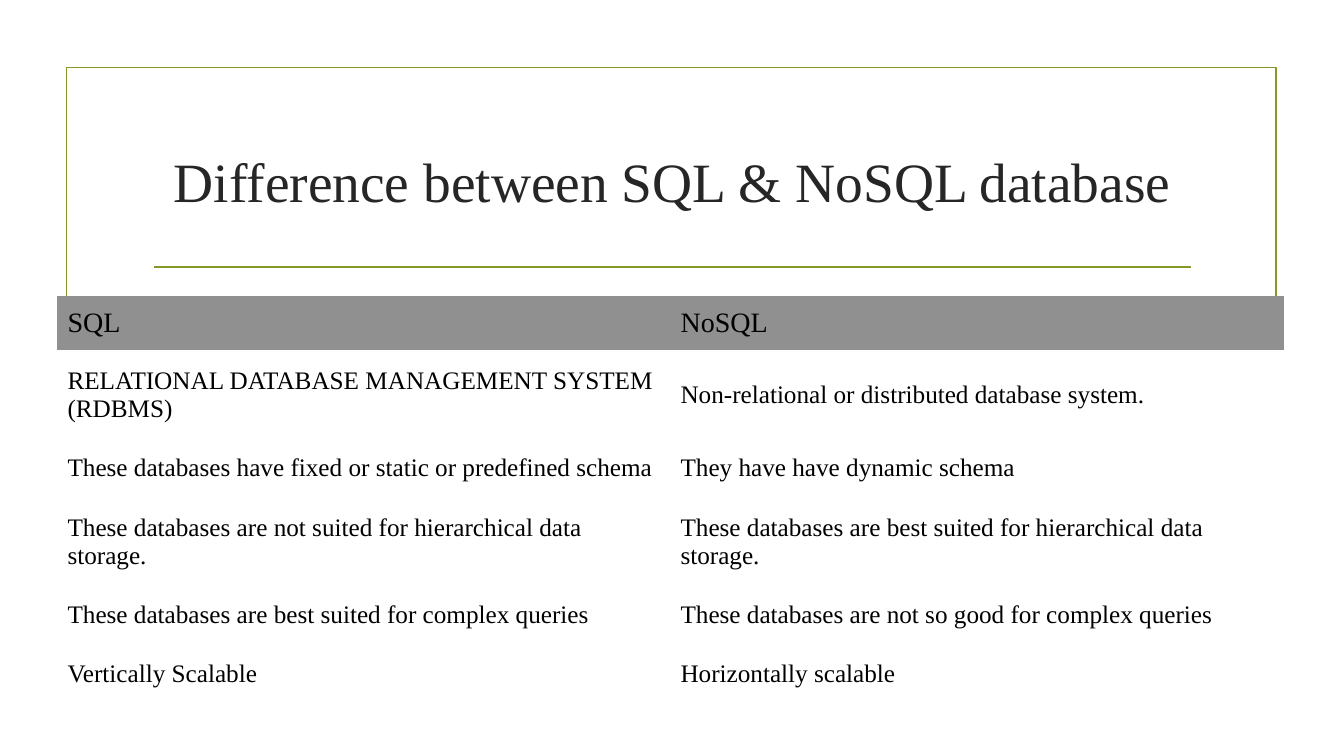
from dataclasses import dataclass

from pptx import Presentation
from pptx.dml.color import RGBColor
from pptx.enum.shapes import MSO_CONNECTOR, MSO_SHAPE
from pptx.enum.text import MSO_ANCHOR as Anchor, PP_ALIGN as Align
from pptx.oxml.ns import qn
from pptx.oxml.xmlchemy import OxmlElement
from pptx.util import Pt

EMU_PER_PX = 9144
PLAIN_TABLE_STYLE = "{2D5ABB26-0587-4C30-8999-92F81FD0307C}"


def px(length):
    return length * EMU_PER_PX


@dataclass(frozen=True)
class Theme:
    font: str = "Times New Roman"
    accent: str = "83992A"
    title: str = "262626"
    text: str = "000000"
    header_fill: str = "909090"
    body_fill: str = "FFFFFF"
    title_size: float = 39.6
    header_size: float = 20
    body_size: float = 18
    line_width: float = 1.25


class SlideBuilder:
    def __init__(self, slide, theme):
        self.slide = slide
        self.theme = theme

    def outline(self, line):
        line.color.rgb = RGBColor.from_string(self.theme.accent)
        line.width = Pt(self.theme.line_width)

    def frame(self, left, top, width, height):
        shape = self.slide.shapes.add_shape(
            MSO_SHAPE.RECTANGLE, px(left), px(top), px(width), px(height))
        shape.shadow.inherit = False
        shape.fill.background()
        self.outline(shape.line)

    def rule(self, left, right, top):
        connector = self.slide.shapes.add_connector(
            MSO_CONNECTOR.STRAIGHT, px(left), px(top), px(right), px(top))
        self.outline(connector.line)
        connector._element.spPr.append(OxmlElement("a:effectLst"))

    def add_text(self, paragraph, text, size, color):
        run = paragraph.add_run()
        run.text = text
        run.font.name = self.theme.font
        run.font.size = Pt(size)
        run.font.color.rgb = RGBColor.from_string(color)

    def title(self, text, left, top, width, height):
        box = self.slide.shapes.add_textbox(px(left), px(top), px(width), px(height))
        text_frame = box.text_frame
        text_frame.word_wrap = True
        text_frame.vertical_anchor = Anchor.MIDDLE
        paragraph = text_frame.paragraphs[0]
        paragraph.alignment = Align.CENTER
        self.add_text(paragraph, text, self.theme.title_size, self.theme.title)

    def cell(self, cell, text, fill, size, side_margin, end_margin):
        cell.fill.solid()
        cell.fill.fore_color.rgb = RGBColor.from_string(fill)
        cell.vertical_anchor = Anchor.MIDDLE
        cell.margin_left = cell.margin_right = px(side_margin)
        cell.margin_top = cell.margin_bottom = px(end_margin)
        self.add_text(cell.text_frame.paragraphs[0], text, size, self.theme.text)

    def table(self, rows, left, top, column_width, header_height, row_height):
        theme = self.theme
        columns = len(rows[0])
        height = header_height + row_height * (len(rows) - 1)
        table = self.slide.shapes.add_table(
            len(rows), columns, px(left), px(top), px(column_width * columns), px(height)).table
        table._tbl.tblPr.find(qn("a:tableStyleId")).text = PLAIN_TABLE_STYLE
        table.horz_banding = False
        for row_index, texts in enumerate(rows):
            if row_index == 0:
                row_px, style = header_height, (theme.header_fill, theme.header_size, 10, 10)
            else:
                row_px, style = row_height, (theme.body_fill, theme.body_size, 10, 14)
            table.rows[row_index].height = px(row_px)
            for column_index, text in enumerate(texts):
                self.cell(table.cell(row_index, column_index), text, *style)


COMPARISON = [
    ("SQL", "NoSQL"),
    ("RELATIONAL DATABASE MANAGEMENT SYSTEM (RDBMS)",
     "Non-relational or distributed database system."),
    ("These databases have fixed or static or predefined schema",
     "They have have dynamic schema"),
    ("These databases are not suited for hierarchical data storage.",
     "These databases are best suited for hierarchical data storage."),
    ("These databases are best suited for complex queries",
     "These databases are not so good for complex queries"),
    ("Vertically Scalable", "Horizontally scalable"),
]


def main():
    presentation = Presentation()
    presentation.slide_width = px(1333)
    presentation.slide_height = px(750)
    slide = presentation.slides.add_slide(presentation.slide_layouts[6])
    builder = SlideBuilder(slide, Theme())
    builder.frame(66, 67, 1200, 617)
    builder.rule(153, 1181, 265)
    builder.title("Difference between SQL & NoSQL database", 142, 107, 1050, 143)
    builder.table(COMPARISON, 57, 294, column_width=608, header_height=50, row_height=57)
    presentation.save("out.pptx")


if __name__ == "__main__":
    main()
